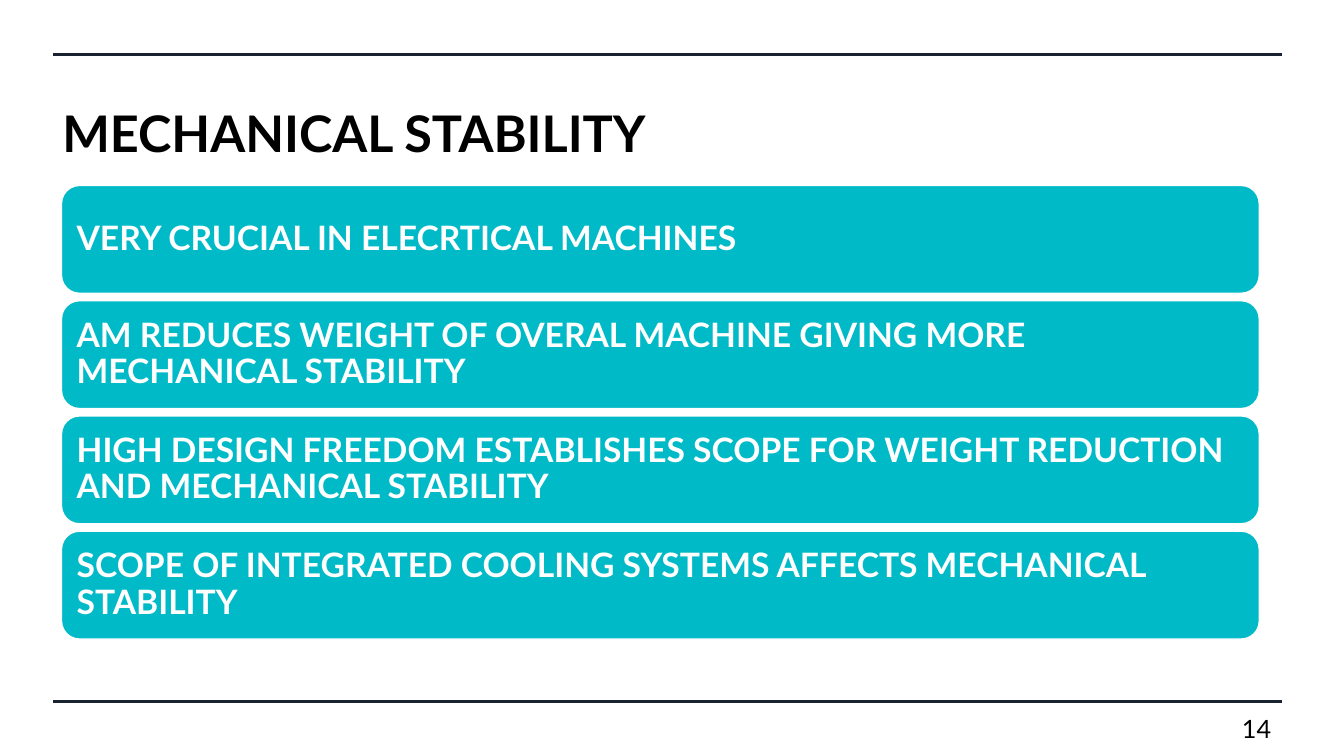
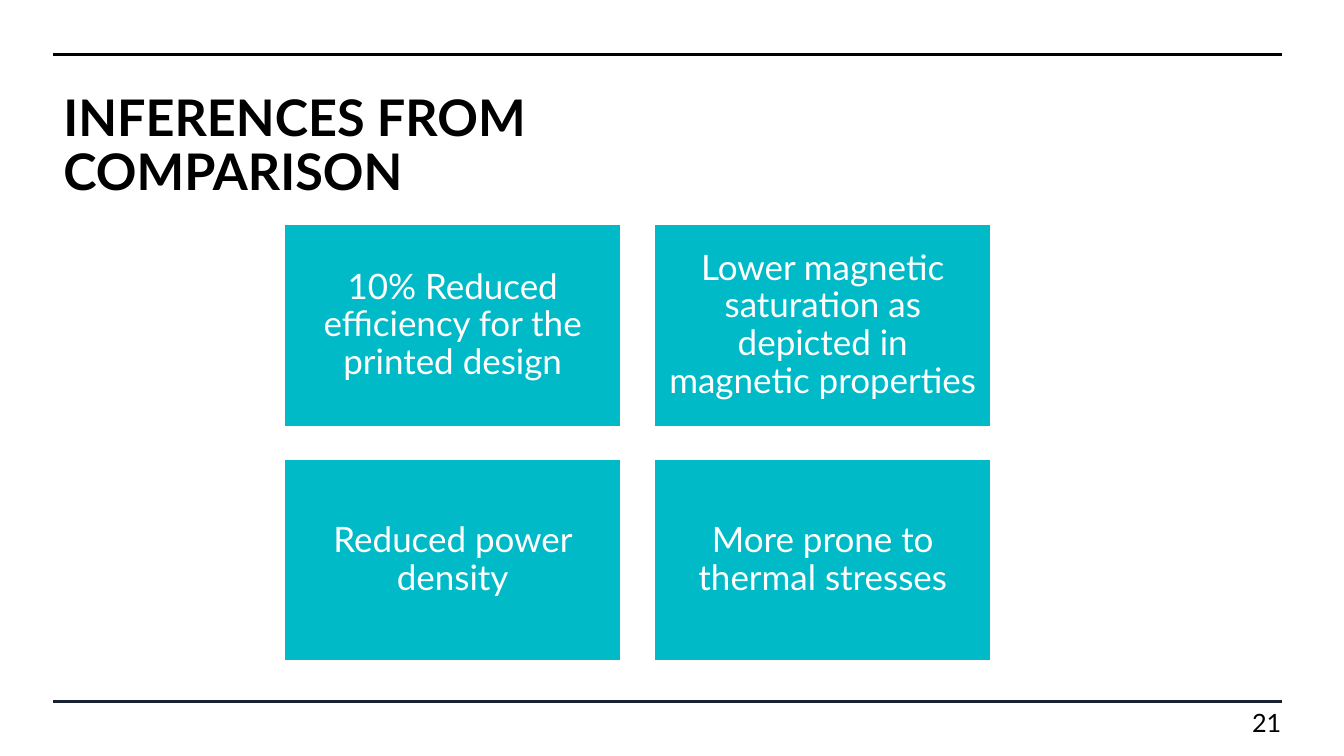
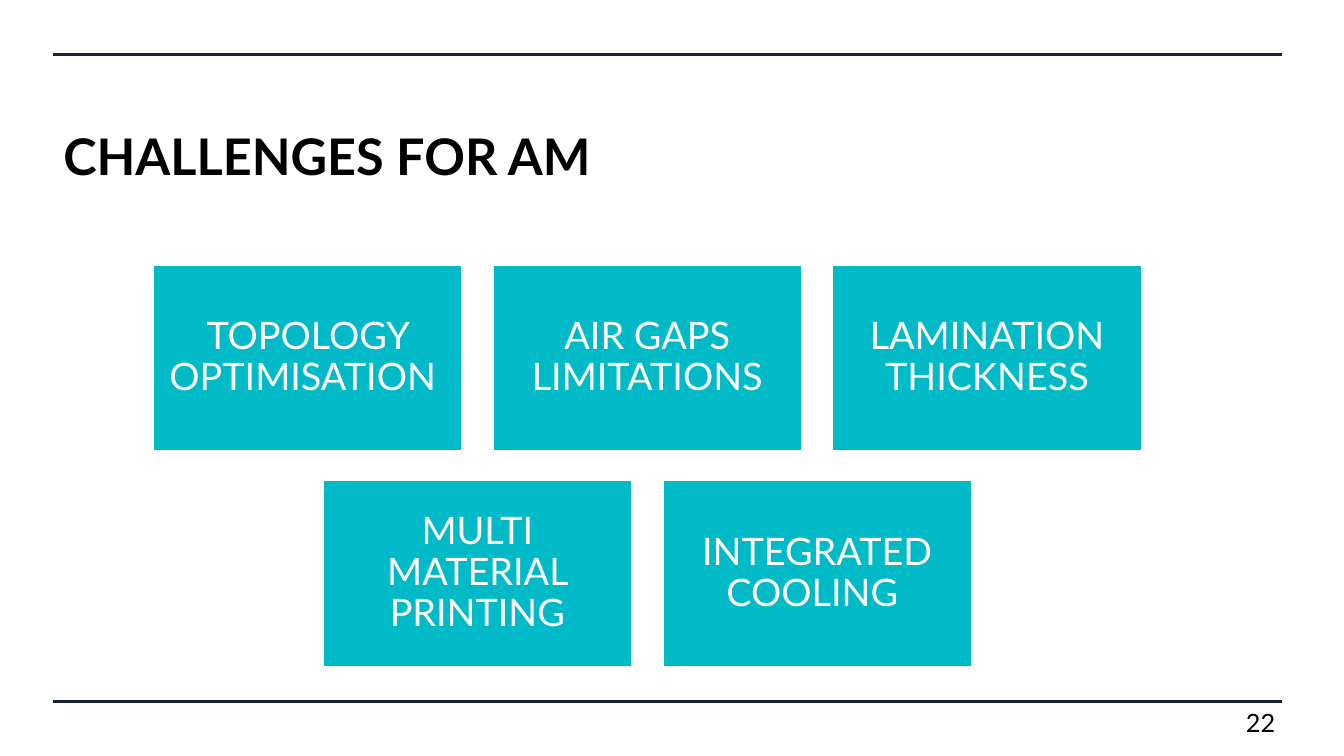
"""Build three slides on additive manufacturing of electrical machines."""
from dataclasses import dataclass

from lxml.etree import SubElement
from pptx import Presentation
from pptx.dml.color import RGBColor
from pptx.enum.shapes import MSO_CONNECTOR, MSO_SHAPE
from pptx.enum.text import MSO_ANCHOR, PP_ALIGN
from pptx.oxml.ns import qn
from pptx.util import Inches, Pt


@dataclass(frozen=True)
class Theme:
    """Colours, font and type sizes shared by the slides."""
    font: str = "Lato"
    black: RGBColor = RGBColor(0x00, 0x00, 0x00)
    white: RGBColor = RGBColor(0xFF, 0xFF, 0xFF)
    navy: RGBColor = RGBColor(0x18, 0x22, 0x30)
    teal: RGBColor = RGBColor(0x00, 0xBA, 0xC8)
    title_size: int = 36
    number_size: int = 18
    rule_width: float = 2.25
    outline_width: float = 1


THEME = Theme()
RULE_LEFT, RULE_RIGHT = 0.53, 12.72
RULE_TOP, RULE_BOTTOM = 0.54, 6.96

SLIDES = [
    {
        "title": "MECHANICAL STABILITY",
        "title_box": (0.52, 0.23, 11.83, 2.16),
        "title_format": {"anchor": MSO_ANCHOR.MIDDLE, "spacing": 1.0},
        "top_rule": THEME.navy,
        "number": ("14", 12.22, 7.03),
        "rows": [
            ["VERY CRUCIAL IN ELECRTICAL MACHINES"],
            ["AM REDUCES WEIGHT OF OVERAL MACHINE GIVING MORE MECHANICAL STABILITY"],
            ["HIGH DESIGN FREEDOM ESTABLISHES SCOPE FOR WEIGHT REDUCTION AND MECHANICAL STABILITY"],
            ["SCOPE OF INTEGRATED COOLING SYSTEMS AFFECTS MECHANICAL STABILITY"],
        ],
        "grid": {"left": 0.61, "top": 1.84, "bottom": 6.34, "width": 11.88, "height": 1.07, "gap": 0},
        "card": MSO_SHAPE.ROUNDED_RECTANGLE,
        "card_format": {"size": 24, "bold": True, "margin": 0.1},
    },
    {
        "title": "INFERENCES FROM COMPARISON",
        "title_box": (0.53, 0.87, 7.38, 1.52),
        "title_format": {"anchor": MSO_ANCHOR.TOP},
        "top_rule": THEME.black,
        "number": ("21", 12.32, 6.97),
        "rows": [
            ["10% Reduced efficiency for the printed design",
             "Lower magnetic saturation as depicted in magnetic properties"],
            ["Reduced power density", "More prone to thermal stresses"],
        ],
        "grid": {"left": 2.82, "top": 2.23, "bottom": 6.56, "width": 3.34, "height": 2, "gap": 0.33},
        "card": MSO_SHAPE.RECTANGLE,
        "card_format": {"size": 25, "align": PP_ALIGN.CENTER, "margin": 0.1},
    },
    {
        "title": "CHALLENGES FOR AM",
        "title_box": (0.53, 0.76, 9.2, 1.63),
        "title_format": {"anchor": MSO_ANCHOR.MIDDLE},
        "top_rule": THEME.navy,
        "number": ("22", 12.26, 6.97),
        "rows": [
            ["TOPOLOGY OPTIMISATION ", "AIR GAPS LIMITATIONS", "LAMINATION THICKNESS"],
            ["MULTI MATERIAL PRINTING", "INTEGRATED COOLING "],
        ],
        "grid": {"left": 1.52, "top": 2.63, "bottom": 6.61, "width": 3.06, "height": 1.84, "gap": 0.31},
        "card": MSO_SHAPE.RECTANGLE,
        "card_format": {"size": 27, "align": PP_ALIGN.CENTER, "margin": 0.11},
    },
]


def write_text(shape, text, *, size, color=THEME.black, bold=False, align=PP_ALIGN.LEFT,
               anchor=MSO_ANCHOR.TOP, spacing=0.9, margin=None):
    """Fill a shape with one formatted paragraph."""
    frame = shape.text_frame
    frame.word_wrap = True
    frame.vertical_anchor = anchor
    if margin is not None:
        frame.margin_left = frame.margin_right = Inches(margin)
        frame.margin_top = frame.margin_bottom = Inches(margin)
    paragraph = frame.paragraphs[0]
    paragraph.alignment = align
    paragraph.line_spacing = spacing
    run = paragraph.add_run()
    run.text = text
    run.font.name = THEME.font
    run.font.size = Pt(size)
    run.font.bold = bold
    run.font.color.rgb = color


def add_text_box(slide, box, text, **text_format):
    """Add a text box at a left, top, width, height in inches."""
    shape = slide.shapes.add_textbox(*map(Inches, box))
    write_text(shape, text, **text_format)


def add_rule(slide, top, color):
    """Draw a horizontal rule across the slide."""
    rule = slide.shapes.add_connector(
        MSO_CONNECTOR.STRAIGHT, Inches(RULE_LEFT), Inches(top), Inches(RULE_RIGHT), Inches(top))
    rule.line.color.rgb = color
    rule.line.width = Pt(THEME.rule_width)
    SubElement(rule._element.spPr, qn("a:effectLst"))


def add_card(slide, kind, box, text, text_format):
    """Add a teal card with white text."""
    card = slide.shapes.add_shape(kind, *map(Inches, box))
    card.shadow.inherit = False
    card.fill.solid()
    card.fill.fore_color.rgb = THEME.teal
    card.line.color.rgb = THEME.white
    card.line.width = Pt(THEME.outline_width)
    write_text(card, text, color=THEME.white, anchor=MSO_ANCHOR.MIDDLE, **text_format)


def add_cards(slide, content):
    """Spread rows evenly from top to bottom, centring each under the first."""
    grid, rows = content["grid"], content["rows"]
    width, height = grid["width"], grid["height"]
    column_step = width + grid["gap"]
    row_step = (grid["bottom"] - grid["top"] - height) / (len(rows) - 1)
    for row_index, row in enumerate(rows):
        row_left = grid["left"] + (len(rows[0]) - len(row)) * column_step / 2
        top = grid["top"] + row_index * row_step
        for column_index, text in enumerate(row):
            box = (row_left + column_index * column_step, top, width, height)
            add_card(slide, content["card"], box, text, content["card_format"])


def add_slide(presentation, content):
    """Add one slide with rules, title, cards and number."""
    slide = presentation.slides.add_slide(presentation.slide_layouts[6])
    add_rule(slide, RULE_TOP, content["top_rule"])
    add_rule(slide, RULE_BOTTOM, THEME.navy)
    add_text_box(slide, content["title_box"], content["title"],
                 size=THEME.title_size, bold=True, **content["title_format"])
    add_cards(slide, content)
    number, left, top = content["number"]
    add_text_box(slide, (left, top, 0.8, 0.4), number, size=THEME.number_size, spacing=1.0)


def main():
    """Build and save the presentation."""
    presentation = Presentation()
    presentation.slide_width = Inches(13.33)
    presentation.slide_height = Inches(7.5)
    for content in SLIDES:
        add_slide(presentation, content)
    presentation.save("out.pptx")


if __name__ == "__main__":
    main()
